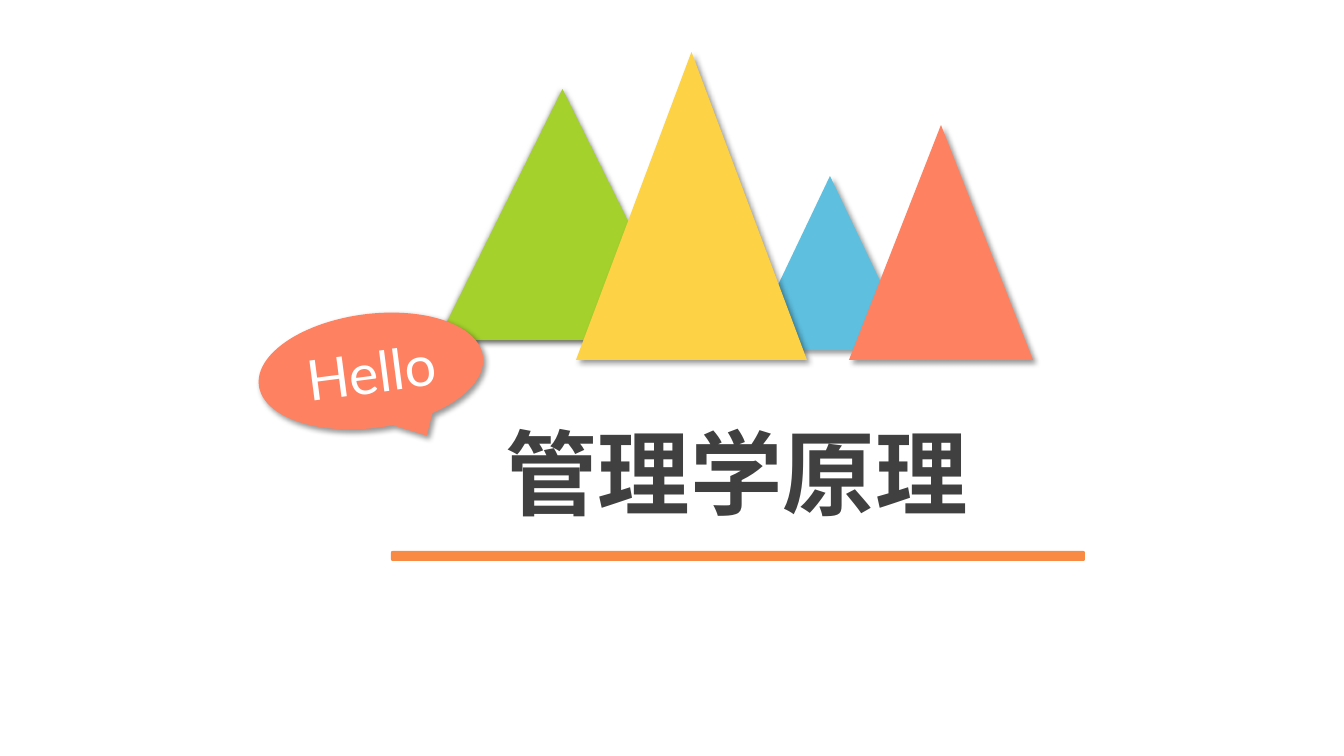
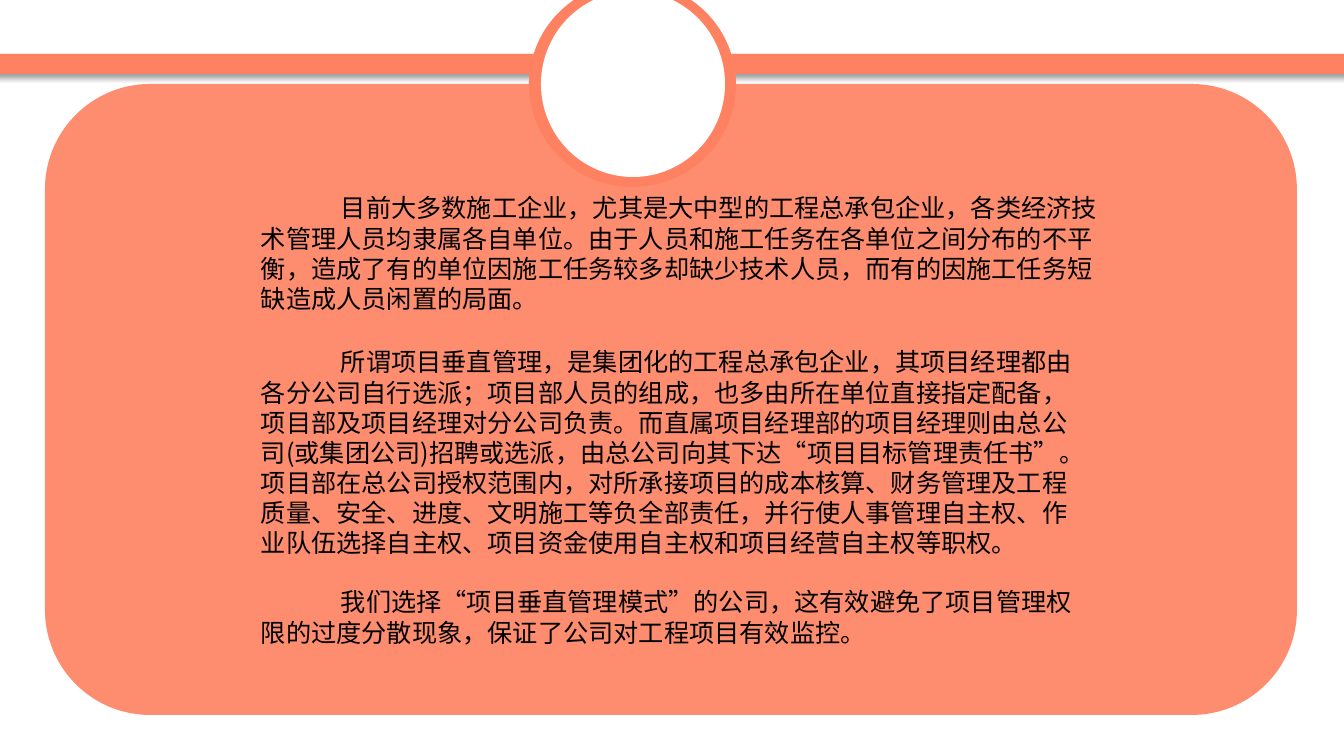
from lxml import etree
from pptx import Presentation
from pptx.dml.color import RGBColor
from pptx.enum.shapes import MSO_SHAPE
from pptx.enum.text import MSO_ANCHOR, PP_ALIGN
from pptx.oxml.ns import qn
from pptx.util import Pt

# Shared style
TRIANGLE = MSO_SHAPE.ISOSCELES_TRIANGLE
ROUNDED = MSO_SHAPE.ROUNDED_RECTANGLE
OVAL = MSO_SHAPE.OVAL
BUBBLE = MSO_SHAPE.OVAL_CALLOUT
TOP, MIDDLE = MSO_ANCHOR.TOP, MSO_ANCHOR.MIDDLE
LEFT, CENTER = PP_ALIGN.LEFT, PP_ALIGN.CENTER

WHITE = RGBColor(0xFF, 0xFF, 0xFF)
BLACK = RGBColor(0x00, 0x00, 0x00)
CHARCOAL = RGBColor(0x40, 0x40, 0x40)
BLUE = RGBColor(0x5E, 0xBF, 0xDF)
GREEN = RGBColor(0xA4, 0xD1, 0x2C)
YELLOW = RGBColor(0xFD, 0xD2, 0x45)
CORAL = RGBColor(0xFE, 0x81, 0x61)
LIGHT_CORAL = RGBColor(0xFE, 0x8D, 0x70)
ORANGE = RGBColor(0xF8, 0x8A, 0x44)

CJK, LATIN = "Noto Sans CJK SC", "Lato"
EMU_PER_PX = 914400 / 100.8
TITLE_ONLY, BLANK = 5, 6

# Shadows: opacity %, blur pt, distance pt, direction in degrees
SOFT = (40, 4, 3, 45)
DEEP = (63, 4.5, 1.5, 90)


def px(length):
    return round(length * EMU_PER_PX)


class Deck:
    def __init__(self):
        self.file = Presentation()
        self.file.slide_width, self.file.slide_height = px(1344), px(756)
        self.slide = None

    def new_slide(self, layout):
        self.slide = self.file.slides.add_slide(self.file.slide_layouts[layout])

    def shape(self, kind, box, color, shadow=None, parent=None):
        target = parent or self.slide
        shape = target.shapes.add_shape(kind, *map(px, box))
        shape.fill.solid()
        shape.fill.fore_color.rgb = color
        shape.line.fill.background()
        shape.shadow.inherit = False
        if shadow:
            self.cast_shadow(shape, *shadow)
        return shape

    def cast_shadow(self, shape, opacity, blur, distance, angle):
        effects = shape._element.spPr.find(qn("a:effectLst"))
        outer = etree.SubElement(effects, qn("a:outerShdw"), {
            "blurRad": str(Pt(blur)), "dist": str(Pt(distance)),
            "dir": str(angle * 60000), "algn": "ctr", "rotWithShape": "0"})
        color = etree.SubElement(outer, qn("a:srgbClr"), val="000000")
        etree.SubElement(color, qn("a:alpha"), val=str(opacity * 1000))

    def set_text(self, shape, text, size, color, font=CJK, bold=False,
                 align=LEFT, anchor=TOP, leading=None, indent=0):
        frame = shape.text_frame
        frame.word_wrap = True
        frame.vertical_anchor = anchor
        frame.text = text
        paragraph = frame.paragraphs[0]
        paragraph.alignment = align
        if leading:
            paragraph.line_spacing = Pt(leading)
        if indent:
            paragraph._p.get_or_add_pPr().set("indent", str(px(indent)))
        run_font = paragraph.runs[0].font
        style = {"name": font, "size": Pt(size), "bold": bold}
        for attribute, value in style.items():
            setattr(run_font, attribute, value)
        run_font.color.rgb = color
        # East Asian typeface follows the Latin one
        latin = run_font._element.find(qn("a:latin"))
        latin.addnext(etree.Element(qn("a:ea"), typeface=font))

    def title(self, text, box):
        title = self.slide.shapes.title
        for side, length in zip(("left", "top", "width", "height"), box):
            setattr(title, side, px(length))
        self.set_text(title, text, 66, CHARCOAL, bold=True, align=CENTER,
                      leading=79)

    def body(self, text, box):
        body = self.slide.shapes.add_textbox(*map(px, box))
        self.set_text(body, text, 18, BLACK, leading=21.5, indent=80)


MOUNTAINS = [
    ((747, 176, 166, 174), BLUE, SOFT),
    ((438, 89, 249, 251), GREEN, DEEP),
    ((576, 52, 231, 308), YELLOW, SOFT),
    ((849, 125, 184, 235), CORAL, SOFT),
]

# Top, width and wording of each passage
PASSAGES = [
    (188, 857, "目前大多数施工企业，尤其是大中型的工程总承包企业，各类经济技术管理人员均隶属各自单位。由于人员和施工任务在各单位之间分布的不平衡，造成了有的单位因施工任务较多却缺少技术人员，而有的因施工任务短缺造成人员闲置的局面。"),
    (342, 839, "所谓项目垂直管理，是集团化的工程总承包企业，其项目经理都由各分公司自行选派；项目部人员的组成，也多由所在单位直接指定配备，项目部及项目经理对分公司负责。而直属项目经理部的项目经理则由总公司(或集团公司)招聘或选派，由总公司向其下达“项目目标管理责任书”。项目部在总公司授权范围内，对所承接项目的成本核算、财务管理及工程质量、安全、进度、文明施工等负全部责任，并行使人事管理自主权、作业队伍选择自主权、项目资金使用自主权和项目经营自主权等职权。"),
    (582, 839, "我们选择“项目垂直管理模式”的公司，这有效避免了项目管理权限的过度分散现象，保证了公司对工程项目有效监控。"),
]
LINE_HEIGHT, LINE_CHARS = 30, 32


def cover(deck):
    deck.new_slide(TITLE_ONLY)
    for box, color, shadow in MOUNTAINS:
        deck.shape(TRIANGLE, box, color, shadow)
    deck.title("管理学原理", (359, 411, 755, 122))

    # Greeting, mirrored so that its tail points right
    greeting = deck.shape(BUBBLE, (258, 314, 226, 114), CORAL, SOFT)
    greeting.rotation = 352.6
    greeting._element.spPr.xfrm.set("flipH", "1")
    deck.set_text(greeting, "Hello", 40, WHITE, font=LATIN, align=CENTER,
                  anchor=MIDDLE)

    deck.shape(ROUNDED, (391, 551, 694, 10), ORANGE)


def vertical_management(deck):
    deck.new_slide(BLANK)
    deck.shape(ROUNDED, (-33, 54, 1448, 20), CORAL, SOFT)
    deck.shape(ROUNDED, (45, 84, 1252, 631), LIGHT_CORAL)

    # Ring over the band
    ring = deck.slide.shapes.add_group_shape()
    deck.shape(OVAL, (529, -18, 207, 205), CORAL, parent=ring)
    deck.shape(OVAL, (541, -9, 184, 186), WHITE, parent=ring)

    for top, width, text in PASSAGES:
        lines = len(text) // LINE_CHARS + 1
        deck.body(text, (251, top, width, lines * LINE_HEIGHT + 10))


def main():
    deck = Deck()
    cover(deck)
    vertical_management(deck)
    deck.file.save("out.pptx")


if __name__ == "__main__":
    main()
